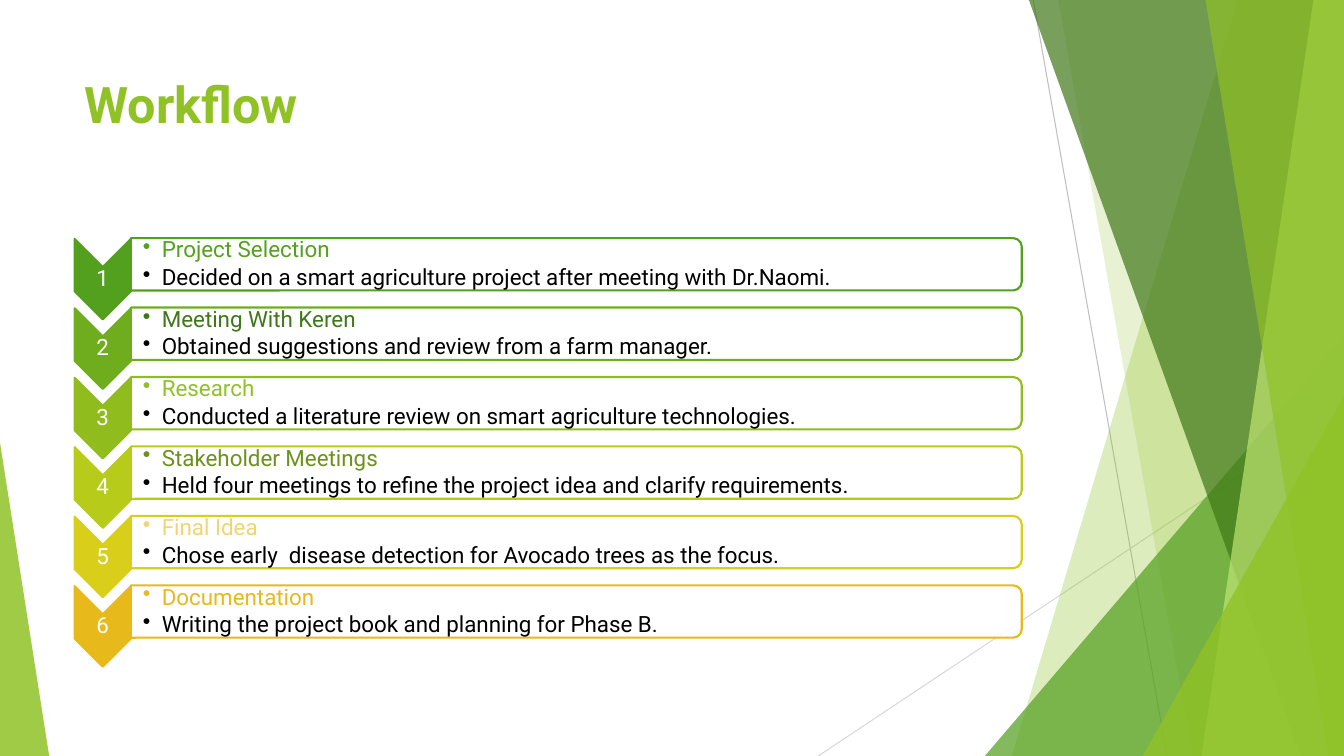
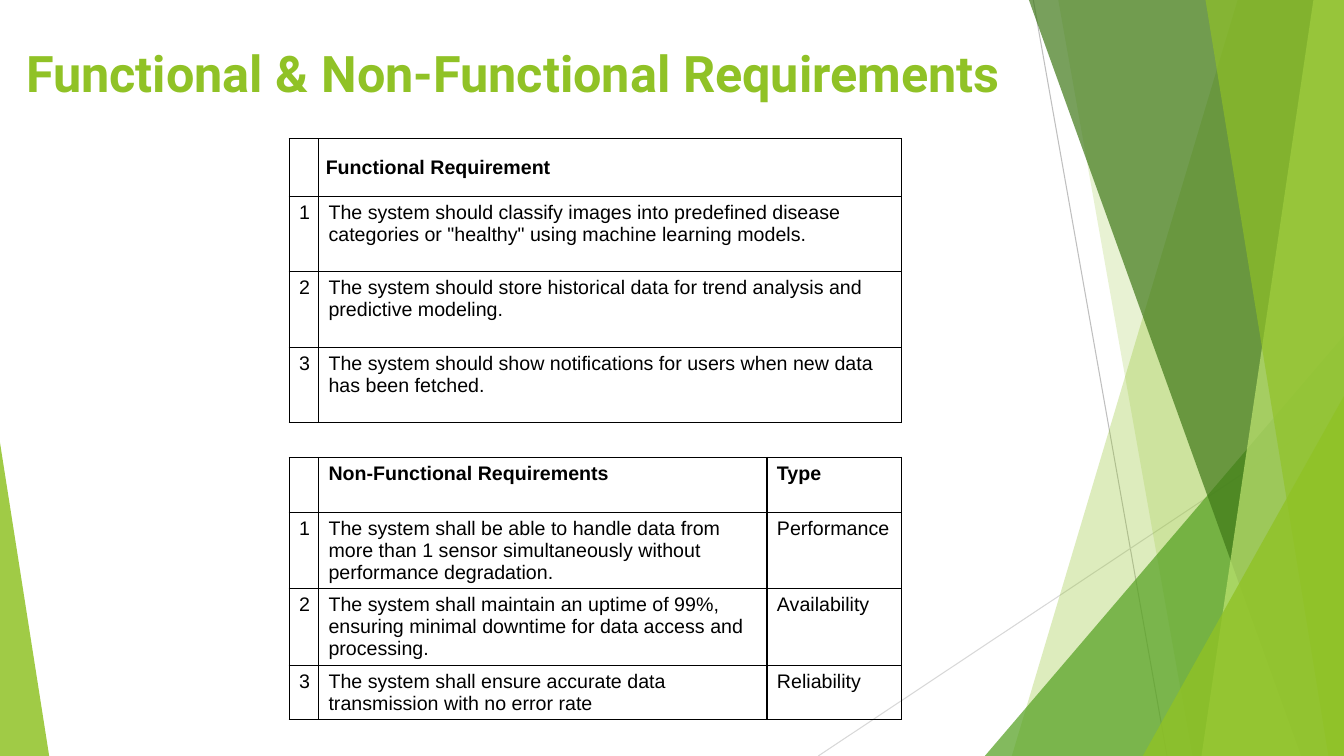
import pptx
import pptx.dml.color
import pptx.enum.shapes
import pptx.enum.text
import pptx.oxml.ns
import pptx.oxml.xmlchemy
import pptx.util
from lxml import etree

Cm = pptx.util.Cm
Pt = pptx.util.Pt
RGBColor = pptx.dml.color.RGBColor
Shape = pptx.enum.shapes.MSO_SHAPE
Anchor = pptx.enum.text.MSO_ANCHOR
Align = pptx.enum.text.PP_ALIGN
qn = pptx.oxml.ns.qn

LIME = RGBColor(0x90, 0xC2, 0x26)
GREEN = RGBColor(0x54, 0xA0, 0x21)
FOREST = RGBColor(0x3F, 0x78, 0x18)
PALE_LIME = RGBColor(0xBF, 0xE4, 0x71)
OLIVE = RGBColor(0x6C, 0x91, 0x1C)
PALE_GOLD = RGBColor(0xF0, 0xD5, 0x76)
GOLD = RGBColor(0xE6, 0xB9, 0x1E)
GRAY = RGBColor(0xBF, 0xBF, 0xBF)
LIGHT_GRAY = RGBColor(0xD8, 0xD8, 0xD8)
WHITE = RGBColor(0xFF, 0xFF, 0xFF)
BLACK = RGBColor(0, 0, 0)
STEP_COLORS = [RGBColor.from_string(code) for code in
               ("52A01E", "6FAD1F", "90BC1D", "B7CB1B", "D9CE1A", "E7B91A")]

HEADING_FONT = "Roboto"
TABLE_FONT = "Arial"
WIDTH, HEIGHT = 33.87, 19.05

BACKDROP_LINES = [
    ((26.04, 0), (29.41, HEIGHT), GRAY),
    ((WIDTH, 10.24), (20.62, HEIGHT), LIGHT_GRAY),
]
BACKDROP_FACETS = [
    ("band", 31.19, 25.5, LIME, 30),
    ("band", 26.67, 30.05, LIME, 20),
    ("triangle", 24.82, 8.46, 9.05, 1, GREEN, 72),
    ("band", 25.93, 32.79, FOREST, 70),
    ("band", 33.1, 30.28, PALE_LIME, 70),
    ("band", 30.38, 33.48, LIME, 65),
    ("triangle", 28.8, 9.98, 5.07, 1, LIME, 80),
    ("triangle", 0, 11.15, 1.24, 0, LIME, 85),
]

WORKFLOW_TITLE = "Workflow"
STEPS = [
    ("Project Selection", "Decided on a smart agriculture project after meeting with Dr.Naomi.", GREEN),
    ("Meeting With Keren", "Obtained suggestions and review from a farm manager.", FOREST),
    ("Research", "Conducted a literature review on smart agriculture technologies.", LIME),
    ("Stakeholder Meetings", "Held four meetings to refine the project idea and clarify requirements.", OLIVE),
    ("Final Idea", "Chose early  disease detection for Avocado trees as the focus.", PALE_GOLD),
    ("Documentation", "Writing the project book and planning for Phase B.", GOLD),
]
FIRST_STEP_TOP, STEP_PITCH = 6.0, 1.75

REQUIREMENTS_TITLE = "Functional & Non-Functional Requirements"
FUNCTIONAL = [
    ("", "Functional Requirement"),
    ("1", "The system should classify images into predefined disease categories or \"healthy\" using machine learning models."),
    ("2", "The system should store historical data for trend analysis and predictive modeling."),
    ("3", "The system should show notifications for users when new data has been fetched."),
]
NON_FUNCTIONAL = [
    ("", "Non-Functional Requirements", "Type"),
    ("1", "The system shall be able to handle data from more than 1 sensor simultaneously without performance degradation.", "Performance"),
    ("2", "The system shall maintain an uptime of 99%, ensuring minimal downtime for data access and processing.", "Availability"),
    ("3", "The system shall ensure accurate data transmission with no error rate", "Reliability"),
]
TABLE_LEFT = 7.29


def set_margins(target, left, top, right, bottom):
    target.margin_left, target.margin_top = Cm(left), Cm(top)
    target.margin_right, target.margin_bottom = Cm(right), Cm(bottom)


def add_run(paragraph, text, font, size, color, bold=False):
    run = paragraph.add_run()
    run.text = text
    run.font.name = font
    run.font.size = Pt(size)
    run.font.bold = bold
    run.font.color.rgb = color


def paint(shape, color, opacity=100, line=None):
    shape.shadow.inherit = False
    shape.fill.solid()
    shape.fill.fore_color.rgb = color
    if opacity < 100:
        tone = shape.element.spPr.find(qn("a:solidFill")).find(qn("a:srgbClr"))
        etree.SubElement(tone, qn("a:alpha")).set("val", str(opacity * 1000))
    if line is None:
        shape.line.fill.background()
    else:
        shape.line.color.rgb = line
        shape.line.width = Pt(1.5)


def add_backdrop(slide, layout):
    shapes = slide.shapes
    parts = []
    for start, end, color in BACKDROP_LINES:
        connector = shapes.add_connector(
            pptx.enum.shapes.MSO_CONNECTOR.STRAIGHT, *map(Cm, start + end))
        connector.line.color.rgb = color
        connector.line.width = Pt(0.75)
        etree.SubElement(connector.element.spPr, qn("a:effectLst"))
        parts.append(connector)
    for kind, *geometry, color, opacity in BACKDROP_FACETS:
        if kind == "band":
            top_x, bottom_x = geometry
            builder = shapes.build_freeform(Cm(top_x), 0)
            corners = [(WIDTH, 0), (WIDTH, HEIGHT), (bottom_x, HEIGHT)]
            builder.add_line_segments([(Cm(x), Cm(y)) for x, y in corners])
            facet = builder.convert_to_shape()
        else:
            left, top, width, apex = geometry
            facet = shapes.add_shape(Shape.ISOSCELES_TRIANGLE, Cm(left), Cm(top),
                                     Cm(width), Cm(HEIGHT - top))
            facet.adjustments[0] = apex
        paint(facet, color, opacity)
        parts.append(facet)
    for number, part in enumerate(parts, 100):
        part.element.find(".//" + qn("p:cNvPr")).set("id", str(number))
        layout.shapes.element.append(part.element)


def set_title(slide, text, left, top, width, height, anchor, spacing):
    title = slide.shapes.title
    title.left, title.top, title.width, title.height = map(Cm, (left, top, width, height))
    frame = title.text_frame
    frame.auto_size = pptx.enum.text.MSO_AUTO_SIZE.NONE
    frame.word_wrap = True
    frame.vertical_anchor = anchor
    set_margins(frame, 0.25, 0.13, 0.25, 0.13)
    paragraph = frame.paragraphs[0]
    paragraph.alignment = Align.LEFT
    paragraph.line_spacing = spacing
    add_run(paragraph, text, HEADING_FONT, 36, LIME, True)


def add_turned_shape(slide, kind, left, top, width, height, adjustments):
    shape = slide.shapes.add_shape(
        kind, Cm(left + (width - height) / 2), Cm(top + (height - width) / 2),
        Cm(height), Cm(width))
    shape.rotation = 90
    for index, value in enumerate(adjustments):
        shape.adjustments[index] = value
    return shape


def add_text_frame(slide, left, top, width, height, inset):
    frame = slide.shapes.add_textbox(*map(Cm, (left, top, width, height))).text_frame
    frame.word_wrap = True
    frame.vertical_anchor = Anchor.MIDDLE
    set_margins(frame, inset, 0.03, 0.03, 0.03)
    return frame


def add_bullet(paragraph, color):
    properties = paragraph._p.get_or_add_pPr()
    properties.set("marL", str(Cm(0.48)))
    properties.set("indent", str(-Cm(0.48)))
    bullet_color = etree.SubElement(properties, qn("a:buClr"))
    etree.SubElement(bullet_color, qn("a:srgbClr")).set("val", str(color))
    etree.SubElement(properties, qn("a:buChar")).set("char", "•")


def add_step(slide, number, heading, detail, heading_color, step_color):
    top = FIRST_STEP_TOP + (number - 1) * STEP_PITCH
    chevron = add_turned_shape(slide, Shape.CHEVRON, 1.88, top + 0.02, 1.42, 2.03, [0.5])
    paint(chevron, step_color, line=step_color)
    number_paragraph = add_text_frame(slide, 1.88, top + 0.73, 1.42, 0.61, 0.03).paragraphs[0]
    number_paragraph.alignment = Align.CENTER
    number_paragraph.line_spacing = 0.9
    add_run(number_paragraph, str(number), HEADING_FONT, 16, WHITE)

    panel = add_turned_shape(slide, Shape.ROUND_2_SAME_RECTANGLE, 3.3, top, 22.45, 1.32, [0.167, 0])
    paint(panel, WHITE, 90, step_color)
    frame = add_text_frame(slide, 3.3, top + 0.07, 22.4, 1.19, 0.3)
    first, second = frame.paragraphs[0], frame.add_paragraph()
    second.space_before = Pt(2.4)
    for paragraph, text, color in ((first, heading, heading_color), (second, detail, BLACK)):
        paragraph.line_spacing = 0.9
        add_bullet(paragraph, color)
        add_run(paragraph, text, HEADING_FONT, 16, color)


def add_borders(cell):
    properties = cell._tc.get_or_add_tcPr()
    for side in ("lnL", "lnR", "lnT", "lnB"):
        border = etree.SubElement(properties, qn("a:" + side))
        border.set("w", str(Pt(1)))
        fill = etree.SubElement(border, qn("a:solidFill"))
        etree.SubElement(fill, qn("a:srgbClr")).set("val", str(BLACK))


def add_requirements(slide, rows, top, column_widths, row_heights):
    table = slide.shapes.add_table(
        len(rows), len(column_widths), Cm(TABLE_LEFT), Cm(top),
        Cm(sum(column_widths)), Cm(sum(row_heights))).table
    table.first_row = table.horz_banding = False
    for column, width in zip(table.columns, column_widths):
        column.width = Cm(width)
    for row_index, (row, height) in enumerate(zip(rows, row_heights)):
        table.rows[row_index].height = Cm(height)
        for column_index, text in enumerate(row):
            cell = table.cell(row_index, column_index)
            set_margins(cell, 0.25, 0.13, 0.25, 0.13)
            add_borders(cell)
            cell.fill.background()
            if text:
                add_run(cell.text_frame.paragraphs[0], text, TABLE_FONT, 14, BLACK, row_index == 0)
    return table


def main():
    presentation = pptx.Presentation()
    presentation.slide_width, presentation.slide_height = Cm(WIDTH), Cm(HEIGHT)
    layout = presentation.slide_layouts[5]

    workflow = presentation.slides.add_slide(layout)
    add_backdrop(workflow, layout)
    set_title(workflow, WORKFLOW_TITLE, 1.88, 1.7, 23.88, 2.16, Anchor.TOP, 1.0)
    for number, (step, step_color) in enumerate(zip(STEPS, STEP_COLORS), 1):
        add_step(workflow, number, *step, step_color)

    requirements = presentation.slides.add_slide(layout)
    set_title(requirements, REQUIREMENTS_TITLE, 0.41, 0.64, 29.21, 2.57, Anchor.MIDDLE, 0.9)
    functional = add_requirements(requirements, FUNCTIONAL, 3.5, [0.74, 14.68], [1.45, 1.9, 1.9, 1.9])
    header = functional.cell(0, 1)
    header.vertical_anchor = Anchor.MIDDLE
    set_margins(header, 0.18, 0.18, 0.18, 0.18)
    add_requirements(requirements, NON_FUNCTIONAL, 11.53, [0.74, 11.3, 3.38], [1.38, 1.9, 1.9, 1.38])

    presentation.save("out.pptx")


if __name__ == "__main__":
    main()
